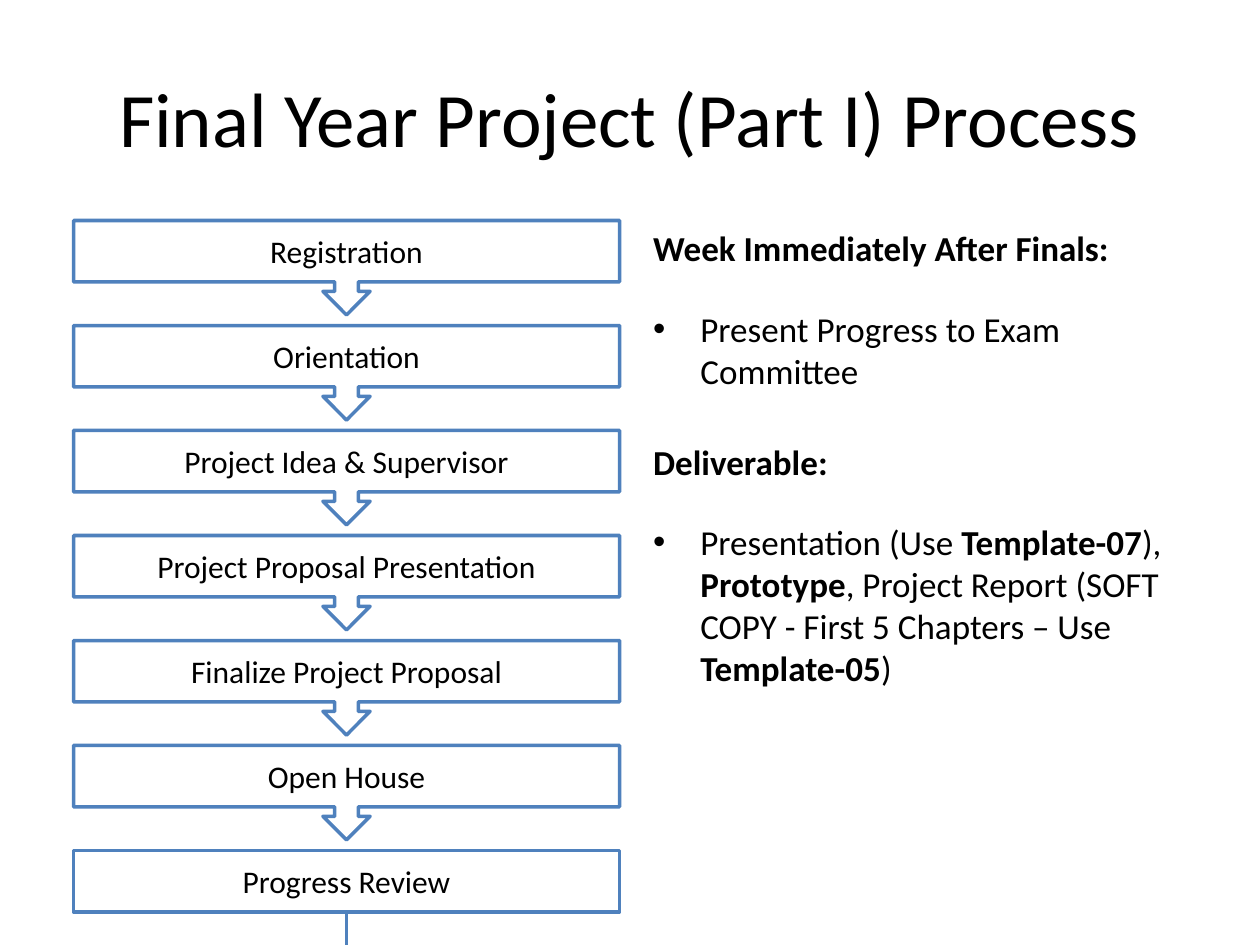
from dataclasses import dataclass

from lxml.etree import SubElement
from pptx import Presentation
from pptx.dml.color import RGBColor
from pptx.enum.shapes import MSO_SHAPE
from pptx.enum.text import MSO_ANCHOR, MSO_AUTO_SIZE, PP_ALIGN
from pptx.oxml.ns import qn
from pptx.util import Emu, Pt

EMU_PER_PX = 914400 // 120
COLORS = {"text": "000000", "line": "4F81BD", "fill": "FFFFFF"}
FONT = "Calibri"


@dataclass(frozen=True)
class Box:
    left: int
    top: int
    width: int
    height: int


@dataclass(frozen=True)
class Note:
    runs: tuple[tuple[str, bool], ...]  # text, bold
    before: int = 0
    after: int = 0
    bullet: bool = False


FIRST_STEP = Box(70, 210, 520, 90)
STEP_PITCH = 100
STEPS = (
    "Registration",
    "Orientation",
    "Project Idea & Supervisor",
    "Project Proposal Presentation",
    "Finalize Project Proposal",
    "Open House",
    "Progress Review",
)
NOTES = (
    Note((("Week Immediately After Finals:", True),), after=18),
    Note((("Present Progress to Exam Committee", False),), before=4, bullet=True),
    Note((("Deliverable:", True),), before=28, after=18),
    Note(
        (
            ("Presentation (Use ", False),
            ("Template-07", True),
            ("), ", False),
            ("Prototype", True),
            (", Project Report (SOFT COPY - First 5 Chapters – Use ", False),
            ("Template-05", True),
            (")", False),
        ),
        before=4,
        bullet=True,
    ),
)


def px(length: int) -> Emu:
    return Emu(length * EMU_PER_PX)


def color(name: str) -> RGBColor:
    return RGBColor.from_string(COLORS[name])


def place(shape, box: Box) -> None:
    shape.left, shape.top = px(box.left), px(box.top)
    shape.width, shape.height = px(box.width), px(box.height)


def add_run(paragraph, text: str, size: int, bold: bool = False) -> None:
    run = paragraph.add_run()
    run.text = text
    run.font.name = FONT
    run.font.size = Pt(size)
    run.font.bold = bold
    run.font.color.rgb = color("text")


def set_bullet(paragraph, bullet: bool) -> None:
    """Give the paragraph a hanging bullet, or remove the inherited one."""
    properties = paragraph._p.get_or_add_pPr()
    indent = px(45) if bullet else 0
    properties.set("marL", str(indent))
    properties.set("indent", str(-indent))
    if bullet:
        SubElement(properties, qn("a:buFont"), typeface="Arial")
        SubElement(properties, qn("a:buChar"), char="•")
    else:
        SubElement(properties, qn("a:buNone"))


def fill_title(title) -> None:
    place(title, Box(60, 36, 1080, 150))
    title.text_frame.vertical_anchor = MSO_ANCHOR.MIDDLE
    paragraph = title.text_frame.paragraphs[0]
    paragraph.alignment = PP_ALIGN.CENTER
    add_run(paragraph, "Final Year Project (Part I) Process", 44)


def fill_notes(body) -> None:
    place(body, Box(610, 210, 530, 594))
    frame = body.text_frame
    frame.auto_size = MSO_AUTO_SIZE.NONE
    for index, note in enumerate(NOTES):
        paragraph = frame.add_paragraph() if index else frame.paragraphs[0]
        set_bullet(paragraph, note.bullet)
        paragraph.space_before = Pt(note.before)
        paragraph.space_after = Pt(note.after)
        for text, bold in note.runs:
            add_run(paragraph, text, 20, bold)


def add_step(slide, text: str, box: Box, last: bool) -> None:
    shape = slide.shapes.add_shape(
        MSO_SHAPE.DOWN_ARROW_CALLOUT,
        px(box.left), px(box.top), px(box.width), px(box.height),
    )
    shape.shadow.inherit = False
    shape.fill.solid()
    shape.fill.fore_color.rgb = color("fill")
    shape.line.color.rgb = color("line")
    shape.line.width = Pt(2)
    if last:
        shape.adjustments[1] = 0  # the arrow shrinks to a plain stem
    shape.text_frame.vertical_anchor = MSO_ANCHOR.MIDDLE
    paragraph = shape.text_frame.paragraphs[0]
    paragraph.alignment = PP_ALIGN.CENTER
    add_run(paragraph, text, 18)


def main() -> None:
    presentation = Presentation()
    presentation.slide_width, presentation.slide_height = px(1200), px(900)
    slide = presentation.slides.add_slide(presentation.slide_layouts[1])
    fill_title(slide.shapes.title)
    fill_notes(slide.placeholders[1])
    for index, text in enumerate(STEPS):
        top = FIRST_STEP.top + index * STEP_PITCH
        box = Box(FIRST_STEP.left, top, FIRST_STEP.width, FIRST_STEP.height)
        add_step(slide, text, box, last=index == len(STEPS) - 1)
    presentation.save("out.pptx")


if __name__ == "__main__":
    main()
